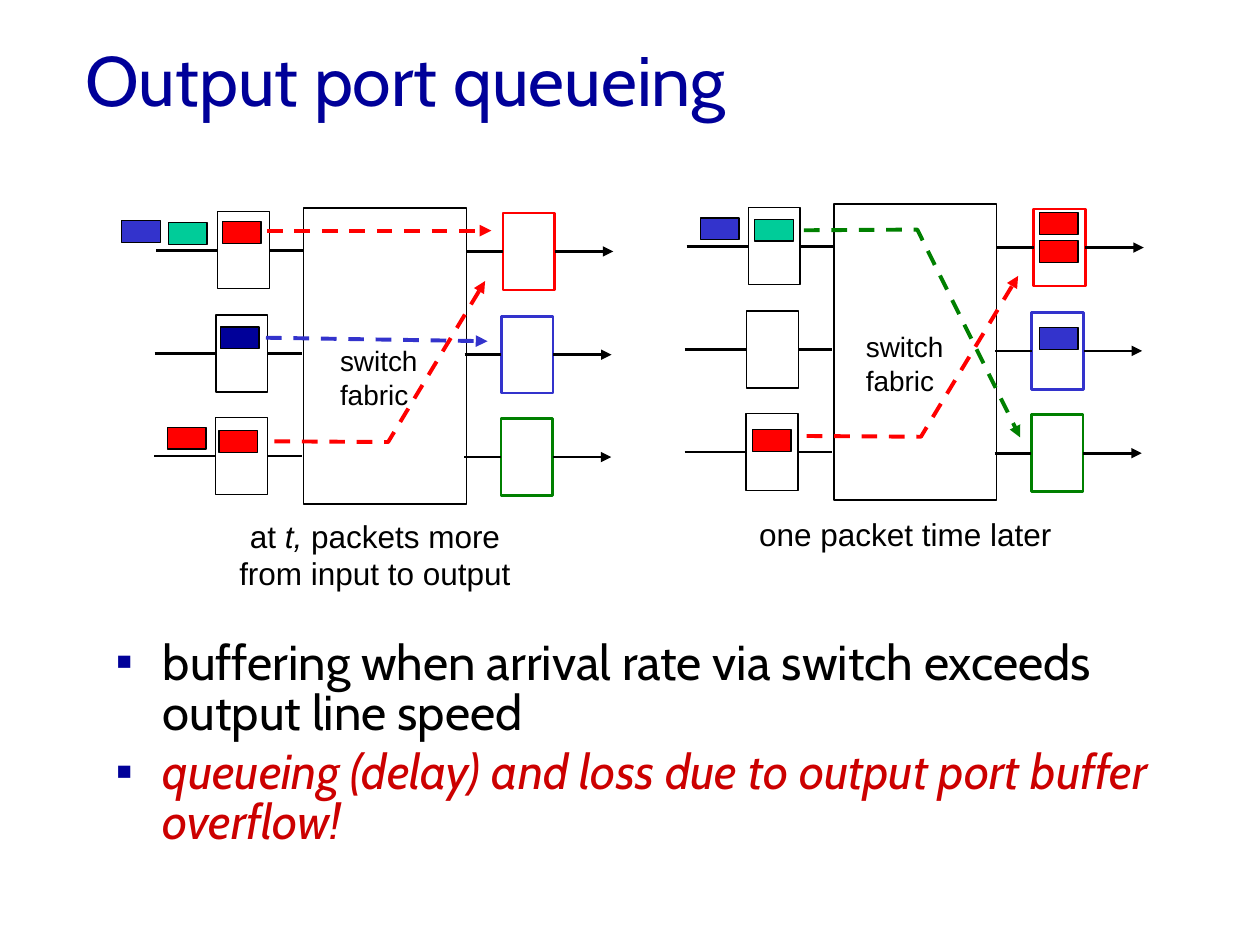
from dataclasses import dataclass
from typing import NamedTuple

from lxml.etree import SubElement
from pptx import Presentation
from pptx.dml.color import RGBColor
from pptx.enum.dml import MSO_LINE_DASH_STYLE as Dash
from pptx.enum.shapes import MSO_CONNECTOR as Connector
from pptx.enum.shapes import MSO_SHAPE as Shape
from pptx.enum.text import MSO_ANCHOR as Anchor
from pptx.enum.text import PP_ALIGN as Align
from pptx.oxml.ns import qn
from pptx.util import Pt

BLACK = RGBColor(0x00, 0x00, 0x00)
WHITE = RGBColor(0xFF, 0xFF, 0xFF)
NAVY = RGBColor(0x00, 0x00, 0x99)
BLUE = RGBColor(0x33, 0x33, 0xCC)
RED = RGBColor(0xFF, 0x00, 0x00)
GREEN = RGBColor(0x00, 0x80, 0x00)
TEAL = RGBColor(0x00, 0xCC, 0x99)
CRIMSON = RGBColor(0xCC, 0x00, 0x00)

FABRIC_WIDTH, FABRIC_HEIGHT = 93, 169.2
PORT_WIDTH, PORT_HEIGHT = 29.6, 44
PACKET_WIDTH, PACKET_HEIGHT = 22, 12.4
LEFT_SIDE, RIGHT_SIDE = 1, 3


class Row(NamedTuple):
    shift: float
    drop: float
    colour: RGBColor


class Packet(NamedTuple):
    left: float
    top: float
    colour: RGBColor


class Route(NamedTuple):
    points: list
    colour: RGBColor


class Piece(NamedTuple):
    text: str
    italic: bool = False
    colour: RGBColor = BLACK


@dataclass
class Caption:
    left: float
    top: float
    width: float
    height: float
    lines: list
    size: float
    font: str = "Arial"
    align: Align = Align.LEFT
    anchor: Anchor = Anchor.TOP
    wrap: bool = True


@dataclass
class Switch:
    left: float
    top: float
    packets: list
    routes: list
    label: Caption
    caption: Caption


ROWS = [Row(0, 0, RED), Row(-1, 59, BLUE), Row(-1.2, 117.5, GREEN)]
FABRIC_LINES = [[Piece("switch")], [Piece("fabric")]]

SWITCHES = [
    Switch(
        173.5, 118.8,
        [Packet(127.2, 126.7, RED), Packet(126, 186.8, NAVY), Packet(125.2, 246.2, RED),
         Packet(96.3, 127.2, TEAL), Packet(95.8, 244.2, RED), Packet(69.6, 126.2, BLUE)],
        [Route([(152.6, 131.8), (280.8, 131.8)], RED),
         Route([(156.8, 252.2), (221.8, 252.6), (277.2, 160.6)], RED),
         Route([(152, 193), (278.6, 195)], BLUE)],
        Caption(187.2, 193, 59, 46, FABRIC_LINES, 16, wrap=False),
        Caption(117.4, 291.6, 193.7, 51,
                [[Piece("at "), Piece("t,", True), Piece(" packets more")],
                 [Piece("from input to output")]], 18, align=Align.CENTER),
    ),
    Switch(
        476.6, 116.6,
        [Packet(594, 121.5, RED), Packet(594, 187.2, BLUE), Packet(594, 137.5, RED),
         Packet(431.3, 125.3, TEAL), Packet(430, 245.5, RED), Packet(400.3, 124.6, BLUE)],
        [Route([(461, 249.2), (526.3, 249.6), (581.8, 157.7)], RED),
         Route([(459.4, 131.6), (524.2, 131.2), (583, 250)], GREEN)],
        Caption(487.7, 185, 59, 46, FABRIC_LINES, 16, wrap=False),
        Caption(420.5, 290.9, 193.7, 29, [[Piece("one packet time later")]], 18,
                align=Align.CENTER),
    ),
]
TITLE = Caption(41.8, 15.8, 612, 57.6, [[Piece("Output port queueing", colour=NAVY)]],
                40, "Cabin", anchor=Anchor.MIDDLE)
BODY = Caption(59, 362.2, 612, 93.6, [
    [Piece("buffering when arrival rate via switch exceeds output line speed")],
    [Piece("queueing (delay) and loss due to output port buffer overflow!", True, CRIMSON)],
], 28, "Cabin")


def add_rectangle(slide, left: float, top: float, width: float, height: float,
                  fill: RGBColor, line: RGBColor = BLACK, weight: float = 0.75):
    shape = slide.shapes.add_shape(Shape.RECTANGLE, Pt(left), Pt(top), Pt(width), Pt(height))
    shape.shadow.inherit = False
    shape.fill.solid()
    shape.fill.fore_color.rgb = fill
    shape.line.color.rgb = line
    shape.line.width = Pt(weight)
    return shape


def style_line(line, colour: RGBColor, weight: float, arrow: bool, dashed: bool) -> None:
    line.color.rgb = colour
    line.width = Pt(weight)
    if dashed:
        line.dash_style = Dash.DASH
    if arrow:
        SubElement(line._get_or_add_ln(), qn("a:tailEnd"), type="triangle")


def add_line(slide, start: tuple, end: tuple, colour: RGBColor = BLACK,
             weight: float = 1.5, arrow: bool = False, dashed: bool = False):
    connector = slide.shapes.add_connector(Connector.STRAIGHT, *map(Pt, start + end))
    style_line(connector.line, colour, weight, arrow, dashed)
    SubElement(connector._element.spPr, qn("a:effectLst"))
    return connector


def add_route(slide, route: Route) -> None:
    if len(route.points) == 2:
        add_line(slide, *route.points, route.colour, 2.25, arrow=True, dashed=True)
        return
    start, *others = [(Pt(x), Pt(y)) for x, y in route.points]
    builder = slide.shapes.build_freeform(*start)
    builder.add_line_segments(others, close=False)
    shape = builder.convert_to_shape()
    shape.shadow.inherit = False
    shape.fill.background()
    style_line(shape.line, route.colour, 2.25, True, True)


def add_caption(slide, caption: Caption):
    box = slide.shapes.add_textbox(Pt(caption.left), Pt(caption.top),
                                   Pt(caption.width), Pt(caption.height))
    frame = box.text_frame
    frame.word_wrap = caption.wrap
    frame.vertical_anchor = caption.anchor
    for index, pieces in enumerate(caption.lines):
        paragraph = frame.add_paragraph() if index else frame.paragraphs[0]
        paragraph.alignment = caption.align
        for piece in pieces:
            run = paragraph.add_run()
            run.text = piece.text
            run.font.name = caption.font
            run.font.size = Pt(caption.size)
            run.font.italic = piece.italic
            run.font.color.rgb = piece.colour
    return frame


def add_bullets(frame) -> None:
    for paragraph in frame.paragraphs:
        paragraph.line_spacing = 0.85
        paragraph.space_before = Pt(5.6)
        properties = paragraph._p.get_or_add_pPr()
        properties.set("marL", str(Pt(27)))
        properties.set("indent", str(-Pt(27)))
        colour = SubElement(properties, qn("a:buClr"))
        SubElement(colour, qn("a:srgbClr"), val=str(NAVY))
        SubElement(properties, qn("a:buFont"), typeface="Arial")
        SubElement(properties, qn("a:buChar"), char="▪")


def add_row(slide, left: float, top: float, colour: RGBColor) -> None:
    source = add_rectangle(slide, left - 49, top + 2.2, PORT_WIDTH, PORT_HEIGHT, WHITE)
    target = add_rectangle(slide, left + 114, top + 2.9, PORT_WIDTH, PORT_HEIGHT,
                           WHITE, colour, 1.5)
    source_middle = top + 2.2 + PORT_HEIGHT / 2
    target_middle = top + 2.9 + PORT_HEIGHT / 2
    arrival = add_line(slide, (left - 84.2, source_middle), (left - 49, source_middle))
    arrival.end_connect(source, LEFT_SIDE)
    entry = add_line(slide, (left - 19.4, source_middle), (left, source_middle))
    entry.begin_connect(source, RIGHT_SIDE)
    leaving = add_line(slide, (left + FABRIC_WIDTH, target_middle), (left + 114, target_middle))
    leaving.end_connect(target, LEFT_SIDE)
    departure = add_line(slide, (left + 143.6, target_middle), (left + 177, target_middle),
                         arrow=True)
    departure.begin_connect(target, RIGHT_SIDE)


def add_switch(slide, switch: Switch) -> None:
    add_rectangle(slide, switch.left, switch.top, FABRIC_WIDTH, FABRIC_HEIGHT, WHITE)
    for row in ROWS:
        add_row(slide, switch.left + row.shift, switch.top + row.drop, row.colour)
    for packet in switch.packets:
        add_rectangle(slide, packet.left, packet.top, PACKET_WIDTH, PACKET_HEIGHT, packet.colour)
    add_caption(slide, switch.label)
    add_caption(slide, switch.caption)
    for route in switch.routes:
        add_route(slide, route)


def main() -> None:
    """Build the output port queueing slide."""
    presentation = Presentation()
    presentation.slide_width, presentation.slide_height = Pt(720), Pt(540)
    slide = presentation.slides.add_slide(presentation.slide_layouts[6])
    add_caption(slide, TITLE)
    add_bullets(add_caption(slide, BODY))
    for switch in SWITCHES:
        add_switch(slide, switch)
    presentation.save("out.pptx")


if __name__ == "__main__":
    main()
